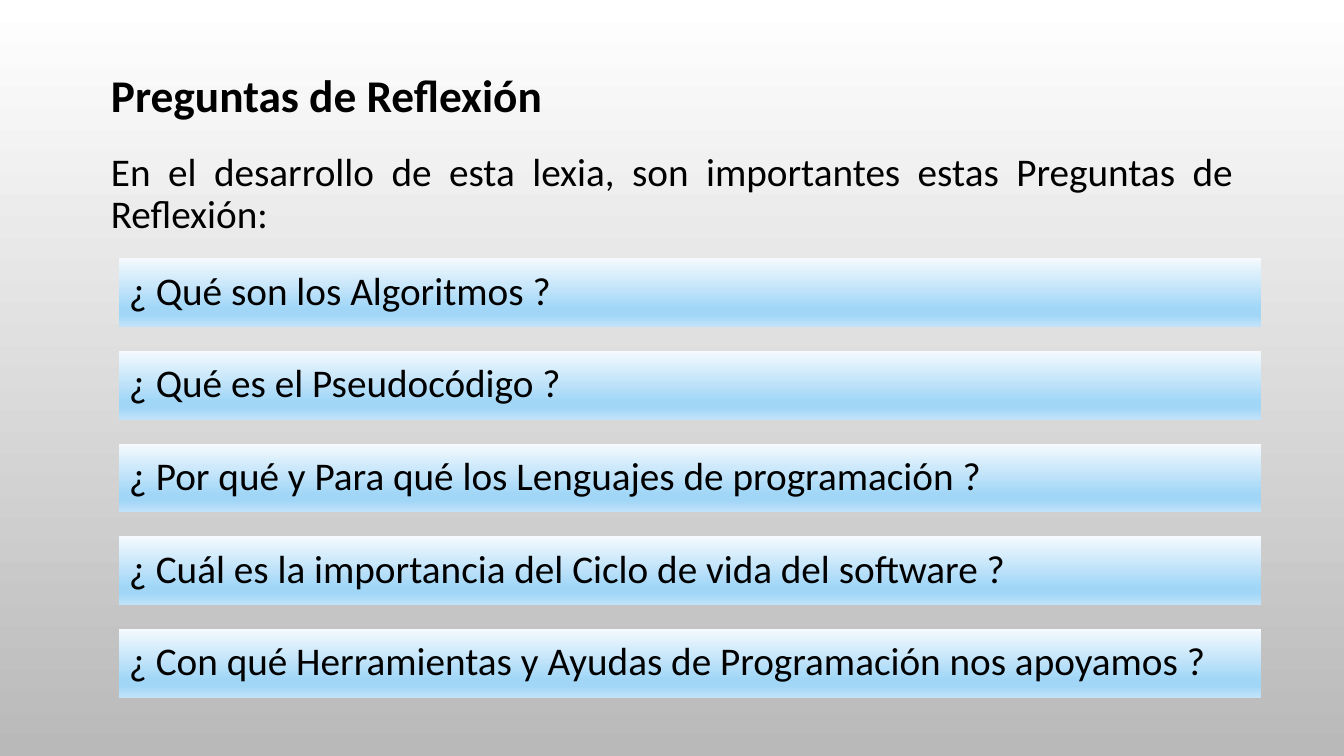
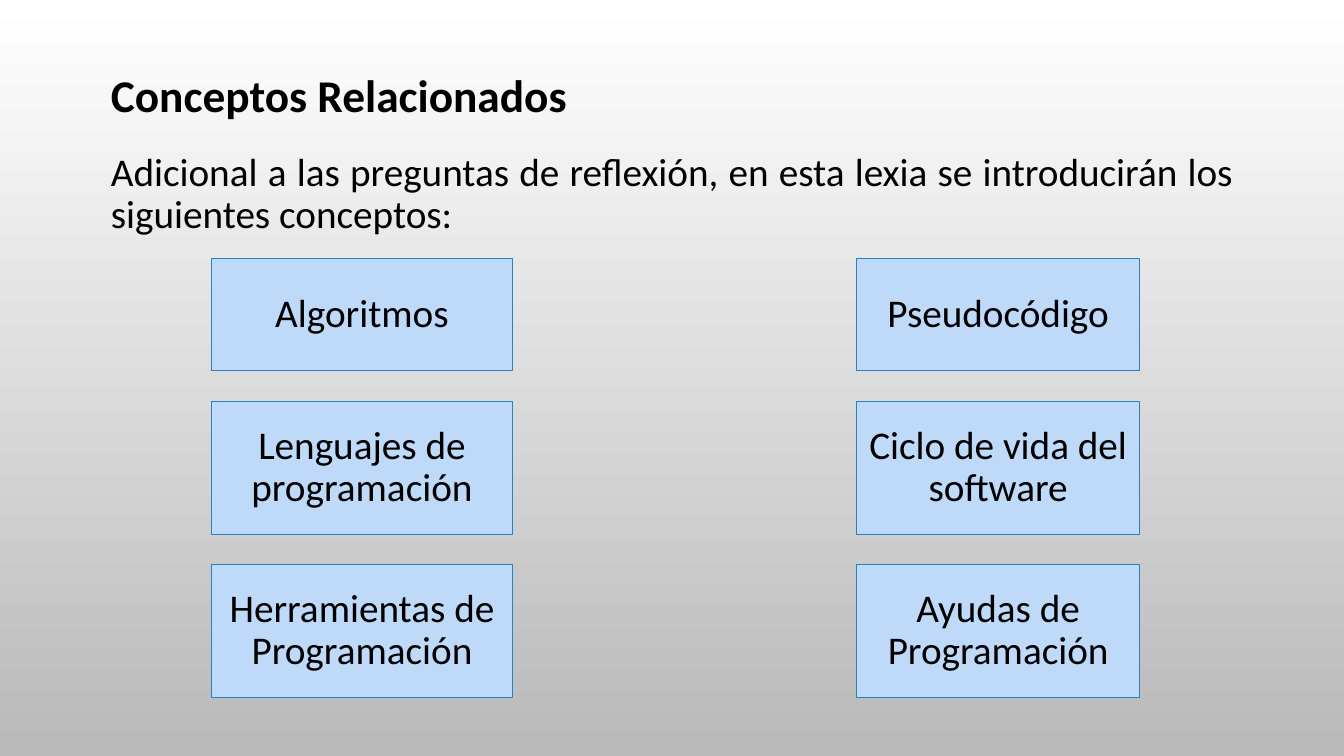
from lxml.etree import SubElement
from pptx import Presentation
from pptx.dml.color import RGBColor
from pptx.enum.shapes import MSO_SHAPE as Preset
from pptx.enum.text import MSO_ANCHOR as Anchor, MSO_AUTO_SIZE as AutoSize, PP_ALIGN as Align
from pptx.oxml.ns import qn
from pptx.util import Inches, Pt

REFLECTION = {
    "title": "Preguntas de Reflexión",
    "intro": "En el desarrollo de esta lexia, son importantes estas Preguntas de Reflexión:",
    "questions": [
        "¿ Qué son los Algoritmos ?",
        "¿ Qué es el Pseudocódigo ?",
        "¿ Por qué y Para qué los Lenguajes de programación ?",
        "¿ Cuál es la importancia del Ciclo de vida del software ?",
        "¿ Con qué Herramientas y Ayudas de Programación nos apoyamos ?",
    ],
}
CONCEPTS = {
    "title": "Conceptos Relacionados",
    "intro": "Adicional a las preguntas de reflexión, en esta lexia se introducirán los "
             "siguientes conceptos:",
    "rows": [
        ("Algoritmos", "Pseudocódigo"),
        ("Lenguajes de programación", "Ciclo de vida del software"),
        ("Herramientas de Programación", "Ayudas de Programación"),
    ],
}

COLORS = {"text": "000000", "concept": "BFDAF9", "outline": "2683BF"}
PAGE_STOPS = [(0, "FFFFFF"), (100, "B9B9B9")]
BAR_STOPS = [(0, "F5FAFE"), (74, "A1D6F7"), (83, "A1D6F7"), (100, "C1E3FA")]
FONT = "Calibri"
WIDTH, HEIGHT = 13.33, 7.5
MARGIN = 1
CONTENT_WIDTH = WIDTH - 2 * MARGIN
CONTENT_TOP = 2.56
BAR_LEFT, BAR_HEIGHT, BAR_PITCH = 1.18, 0.68, 0.92
CONCEPT_COLUMNS = [(2.1, 2.98), (8.5, 2.8)]
CONCEPT_HEIGHTS = [1.12, 1.32, 1.32]
CONCEPT_GAP = 0.3


def color(name):
    return RGBColor.from_string(COLORS[name])


def fill_gradient(fill, element, stops):
    fill.gradient()
    fill.gradient_angle = 270
    stop_list = element.find(".//" + qn("a:gsLst"))
    for stop in list(stop_list):
        stop_list.remove(stop)
    for percent, value in stops:
        stop = SubElement(stop_list, qn("a:gs"), pos=str(percent * 1000))
        SubElement(stop, qn("a:srgbClr"), val=value)


def place(shape, left, top, width, height):
    shape.left, shape.top = Inches(left), Inches(top)
    shape.width, shape.height = Inches(width), Inches(height)


def write(shape, text, align, anchor=Anchor.MIDDLE, size=28, bold=False):
    frame = shape.text_frame
    frame.text = text
    frame.word_wrap = True
    frame.auto_size = AutoSize.NONE
    frame.vertical_anchor = anchor
    para = frame.paragraphs[0]
    para.alignment = align
    para.line_spacing = 0.9
    para.space_before = Pt(0)
    font = para.runs[0].font
    font.name, font.size, font.bold = FONT, Pt(size), bold
    font.color.rgb = color("text")
    return para


def add_page(deck, content):
    page = deck.slides.add_slide(deck.slide_layouts[1])
    title, intro = page.placeholders
    place(title, MARGIN, 0.68, CONTENT_WIDTH, 0.93)
    write(title, content["title"], Align.LEFT, Anchor.TOP, 32.4, True)
    place(intro, MARGIN, 1.46, CONTENT_WIDTH, 1.12)
    para = write(intro, content["intro"], Align.JUSTIFY, Anchor.TOP)
    properties = para._p.get_or_add_pPr()
    properties.set("marL", "0")
    properties.set("indent", "0")
    SubElement(properties, qn("a:buNone"))
    return page


def add_box(page, text, align, *area):
    box = page.shapes.add_shape(Preset.RECTANGLE, *map(Inches, area))
    box.shadow.inherit = False
    write(box, text, align)
    return box


def add_questions(page, questions):
    for index, question in enumerate(questions):
        top = CONTENT_TOP + index * BAR_PITCH
        bar = add_box(page, question, Align.JUSTIFY, BAR_LEFT, top, CONTENT_WIDTH, BAR_HEIGHT)
        fill_gradient(bar.fill, bar._element, BAR_STOPS)
        bar.line.fill.background()


def add_concepts(page, rows):
    top = CONTENT_TOP
    for names, height in zip(rows, CONCEPT_HEIGHTS):
        for name, (left, width) in zip(names, CONCEPT_COLUMNS):
            box = add_box(page, name, Align.CENTER, left, top, width, height)
            box.fill.solid()
            box.fill.fore_color.rgb = color("concept")
            box.line.color.rgb = color("outline")
            box.line.width = Pt(0.75)
        top += height + CONCEPT_GAP


def main():
    deck = Presentation()
    deck.slide_width, deck.slide_height = Inches(WIDTH), Inches(HEIGHT)
    master = deck.slide_master
    fill_gradient(master.background.fill, master._element, PAGE_STOPS)
    add_questions(add_page(deck, REFLECTION), REFLECTION["questions"])
    add_concepts(add_page(deck, CONCEPTS), CONCEPTS["rows"])
    deck.save("out.pptx")


if __name__ == "__main__":
    main()
